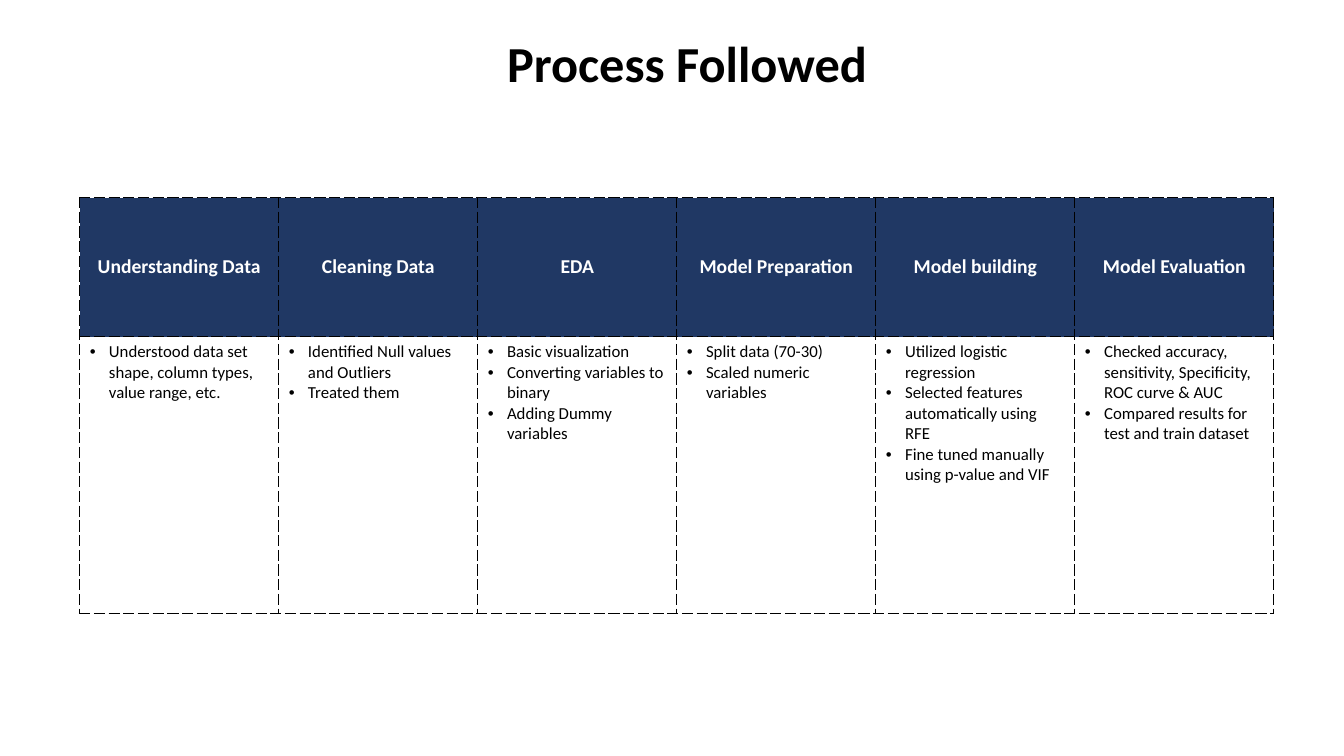
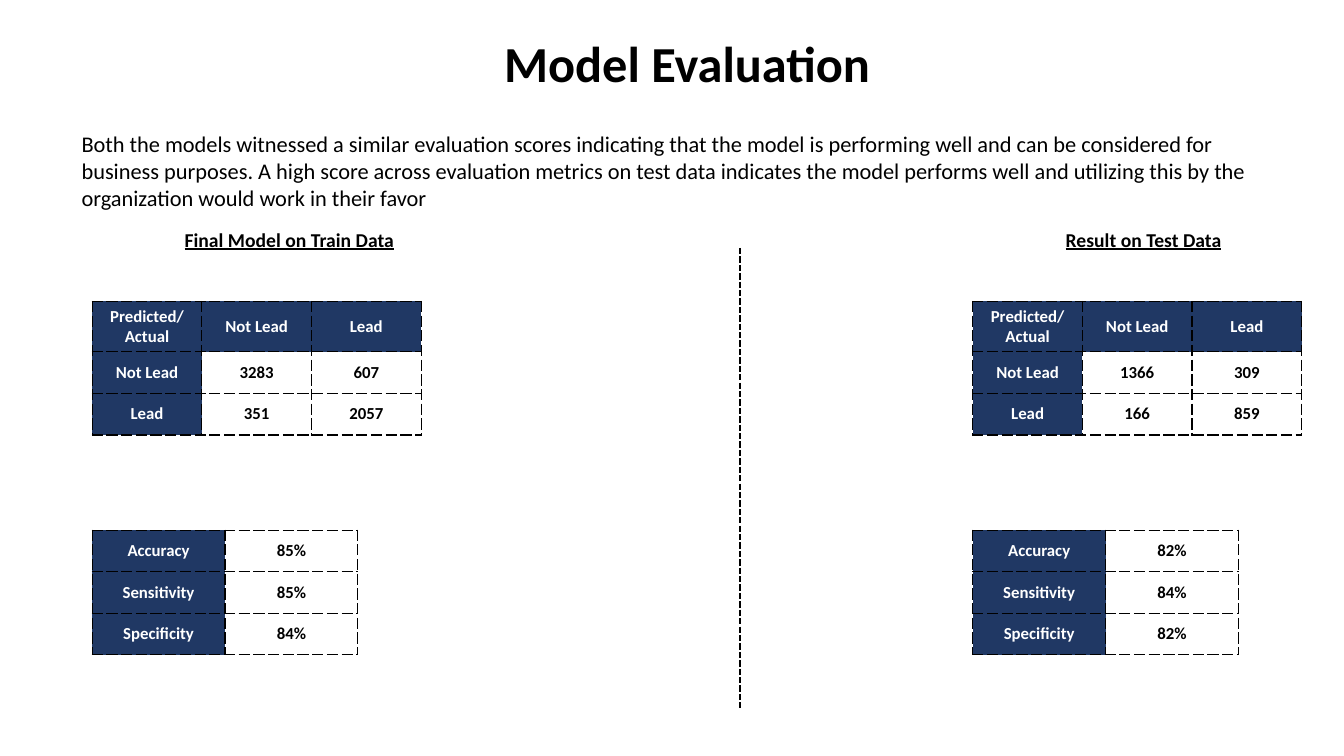
from lxml.etree import SubElement
from pptx import Presentation
from pptx.dml.color import RGBColor
from pptx.enum.dml import MSO_LINE
from pptx.enum.shapes import MSO_CONNECTOR
from pptx.enum.text import MSO_ANCHOR, MSO_AUTO_SIZE, PP_ALIGN
from pptx.oxml import parse_xml
from pptx.oxml.ns import nsdecls, qn
from pptx.util import Inches, Pt

# Shared look
INK = {"head": "203864", "light": "FFFFFF", "dark": "000000"}
FACE = "Calibri"
INDENT = Inches(0.19)
TITLE = (22.13, 3.6, 58, 9.47)

deck = Presentation()
deck.slide_width, deck.slide_height = Inches(13.33), Inches(7.5)


def place(x, y, *size):
    """Turn percentages of the slide's width and height into lengths."""
    sides = (deck.slide_width, deck.slide_height)
    return [int(sides[n % 2] * v / 100) for n, v in enumerate((x, y, *size))]


def grid(slide, x, y, wide, highs, rows, head, size=12, bullets=False):
    """Draw a dashed table; head(row, col) tells which cells are filled."""
    count = len(rows[0])
    frame = slide.shapes.add_table(
        len(rows), count, *place(x, y, wide * count, sum(highs)))
    table = frame.table
    table.first_row = table.horz_banding = False
    for col in table.columns:
        col.width = place(wide, 0)[0]
    for r, row in enumerate(rows):
        table.rows[r].height = place(0, highs[r])[1]
        for c, text in enumerate(row):
            cell, top = table.cell(r, c), head(r, c)
            listed = bullets and not top
            cell.text = text
            cell.vertical_anchor = MSO_ANCHOR.TOP if listed else MSO_ANCHOR.MIDDLE
            # Borders come before the fill
            for side in ("lnL", "lnR", "lnT", "lnB"):
                cell._tc.get_or_add_tcPr().append(parse_xml(
                    f'<a:{side} {nsdecls("a")} w="12700"><a:solidFill>'
                    f'<a:srgbClr val="{INK["dark"]}"/></a:solidFill>'
                    f'<a:prstDash val="sysDash"/></a:{side}>'))
            if top:
                cell.fill.solid()
                cell.fill.fore_color.rgb = RGBColor.from_string(INK["head"])
            else:
                cell.fill.background()
            for para in cell.text_frame.paragraphs:
                if listed:
                    props = para._p.get_or_add_pPr()
                    props.set("marL", str(INDENT))
                    props.set("indent", str(-INDENT))
                    SubElement(props, qn("a:buFont")).set("typeface", "Arial")
                    SubElement(props, qn("a:buChar")).set("char", "•")
                else:
                    para.alignment = PP_ALIGN.CENTER
                font = para.font
                font.name, font.bold = FACE, not listed
                font.size = Pt(size if top else 12)
                font.color.rgb = RGBColor.from_string(INK["light" if top else "dark"])


blank = deck.slide_layouts[6]
steps, scores = [deck.slides.add_slide(blank) for _ in range(2)]

# Process table
stages = {
    "Understanding Data": ["Understood data set shape, column types, value range, etc."],
    "Cleaning Data": ["Identified Null values and Outliers", "Treated them"],
    "EDA": ["Basic visualization", "Converting variables to binary",
            "Adding Dummy variables"],
    "Model Preparation": ["Split data (70-30)", "Scaled numeric variables"],
    "Model building": ["Utilized logistic regression",
                       "Selected features automatically using RFE",
                       "Fine tuned manually using p-value and VIF"],
    "Model Evaluation": ["Checked accuracy, sensitivity, Specificity, ROC curve & AUC",
                         "Compared results for test and train dataset"],
}
grid(steps, 5.93, 26.13, 14.81, (18.4, 36.67),
     [list(stages), ["\n".join(items) for items in stages.values()]],
     lambda r, c: r == 0, size=14, bullets=True)

# Titles, summary and panel headings
summary = (
    "Both the models witnessed a similar evaluation scores indicating that the "
    "model is performing well and can be considered for business purposes. A high "
    "score across evaluation metrics on test data indicates the model performs well "
    "and utilizing this by the organization would work in their favor")
texts = [
    (steps, "Process Followed", TITLE, 36, True, False),
    (scores, "Model Evaluation", TITLE, 36, True, False),
    (scores, summary, (5.33, 16.53, 89.5, 12.13), 16, False, False),
    (scores, "Final Model on Train Data", (12.68, 29.47, 17.7, 4.53), 14, True, True),
    (scores, "Result on Test Data", (76.24, 29.47, 17.7, 4.53), 14, True, True),
]
for slide, text, area, size, bold, under in texts:
    frame = slide.shapes.add_textbox(*place(*area)).text_frame
    frame.word_wrap = True
    frame.auto_size = MSO_AUTO_SIZE.SHAPE_TO_FIT_TEXT
    frame.text = text
    para = frame.paragraphs[0]
    para.alignment = PP_ALIGN.CENTER if bold else PP_ALIGN.LEFT
    font = para.font
    font.name, font.size, font.bold, font.underline = FACE, Pt(size), bold, under
    font.color.rgb = RGBColor.from_string(INK["dark"])

# Confusion matrix and metrics for each data set
panels = [
    (6.86, (3283, 607, 351, 2057), (85, 85, 84)),
    (72.38, (1366, 309, 166, 859), (82, 84, 82)),
]
labels = ("Not Lead", "Lead")
names = ("Accuracy", "Sensitivity", "Specificity")
for left, counts, rates in panels:
    matrix = [("Predicted/\nActual", *labels)]
    for n, label in enumerate(labels):
        matrix.append((label, *map(str, counts[2 * n:2 * n + 2])))
    grid(scores, left, 39.87, 8.16, (6.6, 5.5, 5.5), matrix,
         lambda r, c: r == 0 or c == 0)
    grid(scores, left, 70.13, 9.88, (5.5,) * 3,
         [(name, f"{rate}%") for name, rate in zip(names, rates)],
         lambda r, c: c == 0)

# Divider between the panels
rule = scores.shapes.add_connector(
    MSO_CONNECTOR.STRAIGHT, *place(55.05, 32.8, 55.05, 93.6))
rule.line.color.rgb = RGBColor.from_string(INK["dark"])
rule.line.width = Pt(1.5)
rule.line.dash_style = MSO_LINE.SQUARE_DOT
SubElement(rule._element.spPr, qn("a:effectLst"))

deck.save("out.pptx")
